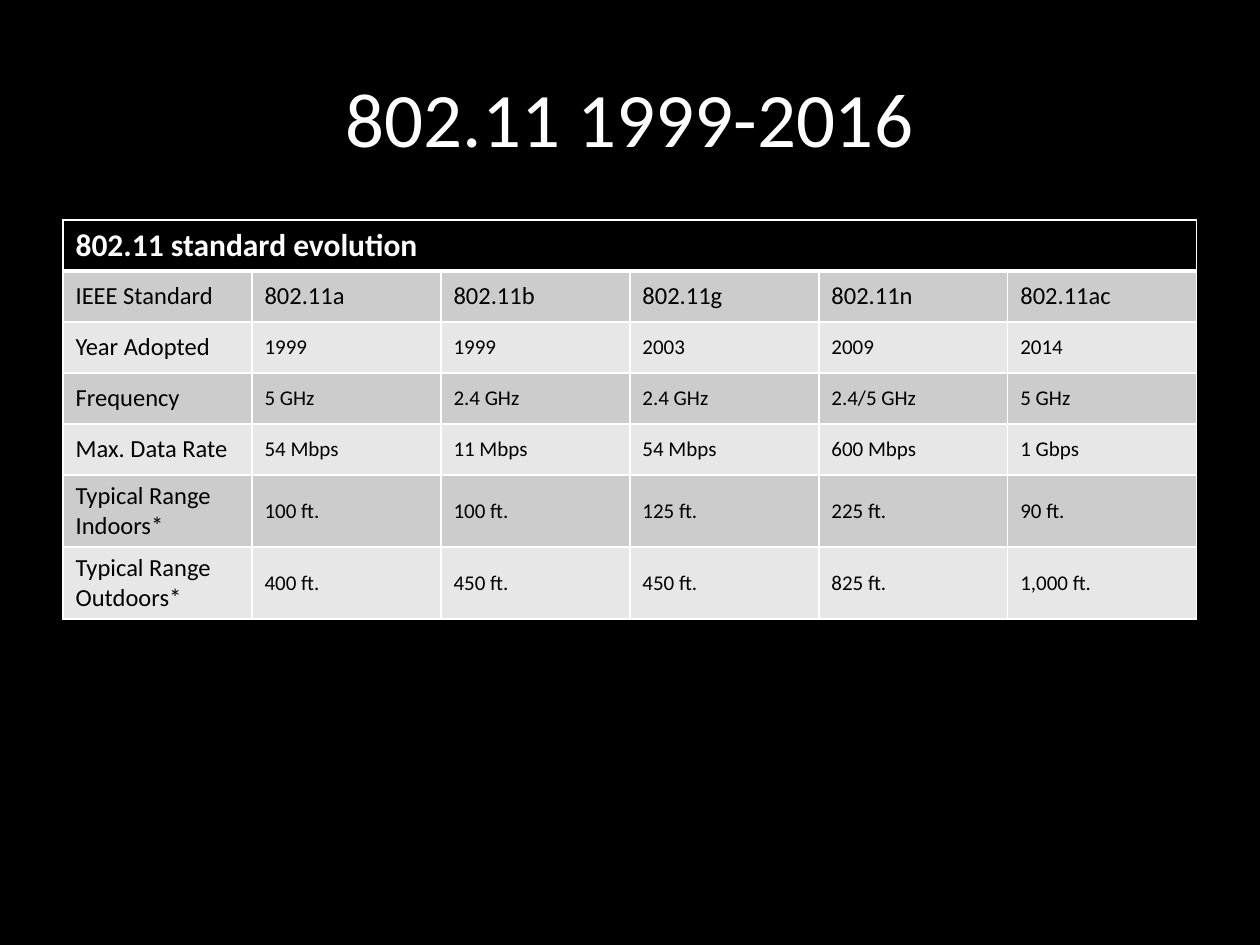
from lxml.etree import SubElement
from pptx import Presentation
from pptx.dml.color import RGBColor
from pptx.enum.text import MSO_ANCHOR, PP_ALIGN
from pptx.oxml.ns import qn
from pptx.util import Emu, Pt

TITLE = "802.11 1999-2016"
HEADING = "802.11 standard evolution"
ROWS = [
    ("IEEE Standard", "802.11a", "802.11b", "802.11g", "802.11n", "802.11ac"),
    ("Year Adopted", "1999", "1999", "2003", "2009", "2014"),
    ("Frequency", "5 GHz", "2.4 GHz", "2.4 GHz", "2.4/5 GHz", "5 GHz"),
    ("Max. Data Rate", "54 Mbps", "11 Mbps", "54 Mbps", "600 Mbps", "1 Gbps"),
    ("Typical Range Indoors*", "100 ft.", "100 ft.", "125 ft.", "225 ft.", "90 ft."),
    ("Typical Range Outdoors*", "400 ft.", "450 ft.", "450 ft.", "825 ft.", "1,000 ft."),
]
ROW_HEIGHTS = [51, 51, 51, 51, 51, 72, 72]
COL_WIDTH = 189
COLORS = {"black": "000000", "white": "FFFFFF", "odd": "CCCCCC", "even": "E7E7E7"}
HEADING_FONT = {"size": Pt(18), "bold": True}
LABEL_FONT = {"size": Pt(14), "bold": False}
VALUE_FONT = {"size": Pt(12), "bold": False}
PX = 914400 // 126


def px(n):
    return Emu(n * PX)


def rgb(name):
    return RGBColor.from_string(COLORS[name])


def write(tf, text, color, font):
    r = tf.paragraphs[0].add_run()
    r.text = text
    r.font.name = "Calibri"
    r.font.color.rgb = rgb(color)
    for key, value in font.items():
        setattr(r.font, key, value)


def add_borders(cell, top=1, bottom=1):
    tcPr = cell._tc.get_or_add_tcPr()
    for side, width in {"L": 1, "R": 1, "T": top, "B": bottom}.items():
        ln = SubElement(tcPr, qn(f"a:ln{side}"), w=str(Pt(width)))
        fill = SubElement(ln, qn("a:solidFill"))
        SubElement(fill, qn("a:srgbClr"), val=COLORS["white"])


def fill_cell(cell, text, fill, color, font):
    cell.fill.solid()
    cell.fill.fore_color.rgb = rgb(fill)
    cell.vertical_anchor = MSO_ANCHOR.MIDDLE
    write(cell.text_frame, text, color, font)


def add_title(s):
    tf = s.shapes.add_textbox(px(63), px(38), px(1134), px(157)).text_frame
    tf.word_wrap = True
    tf.vertical_anchor = MSO_ANCHOR.MIDDLE
    tf.paragraphs[0].alignment = PP_ALIGN.CENTER
    write(tf, TITLE, "white", {"size": Pt(44)})


def add_standards_table(s):
    n_cols = len(ROWS[0])
    table = s.shapes.add_table(len(ROWS) + 1, n_cols, px(63), px(220),
                               px(COL_WIDTH * n_cols), px(sum(ROW_HEIGHTS))).table
    for col in table.columns:
        col.width = px(COL_WIDTH)
    for row, height in zip(table.rows, ROW_HEIGHTS):
        row.height = px(height)

    for cell in table.rows[0].cells:
        add_borders(cell, bottom=3)
    table.cell(0, 0).merge(table.cell(0, n_cols - 1))
    fill_cell(table.cell(0, 0), HEADING, "black", "white", HEADING_FONT)

    for i, values in enumerate(ROWS, 1):
        for j, text in enumerate(values):
            cell = table.cell(i, j)
            add_borders(cell, top=3 if i == 1 else 1)
            fill_cell(cell, text, "odd" if i % 2 else "even", "black",
                      LABEL_FONT if i == 1 or j == 0 else VALUE_FONT)


def main():
    prs = Presentation()
    prs.slide_width, prs.slide_height = px(1260), px(945)
    s = prs.slides.add_slide(prs.slide_layouts[6])
    s.background.fill.solid()
    s.background.fill.fore_color.rgb = rgb("black")
    add_title(s)
    add_standards_table(s)
    prs.save("out.pptx")


if __name__ == "__main__":
    main()
